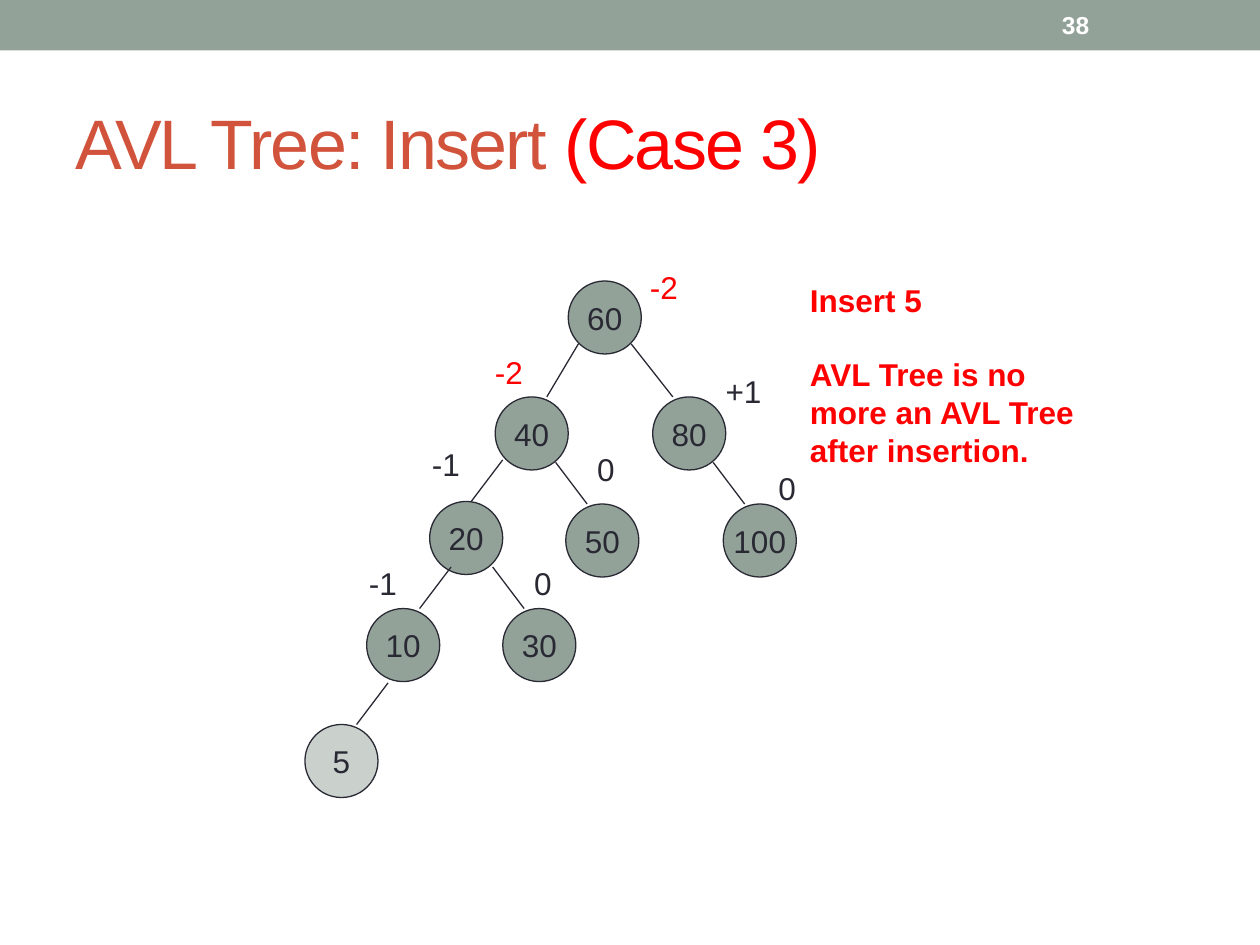
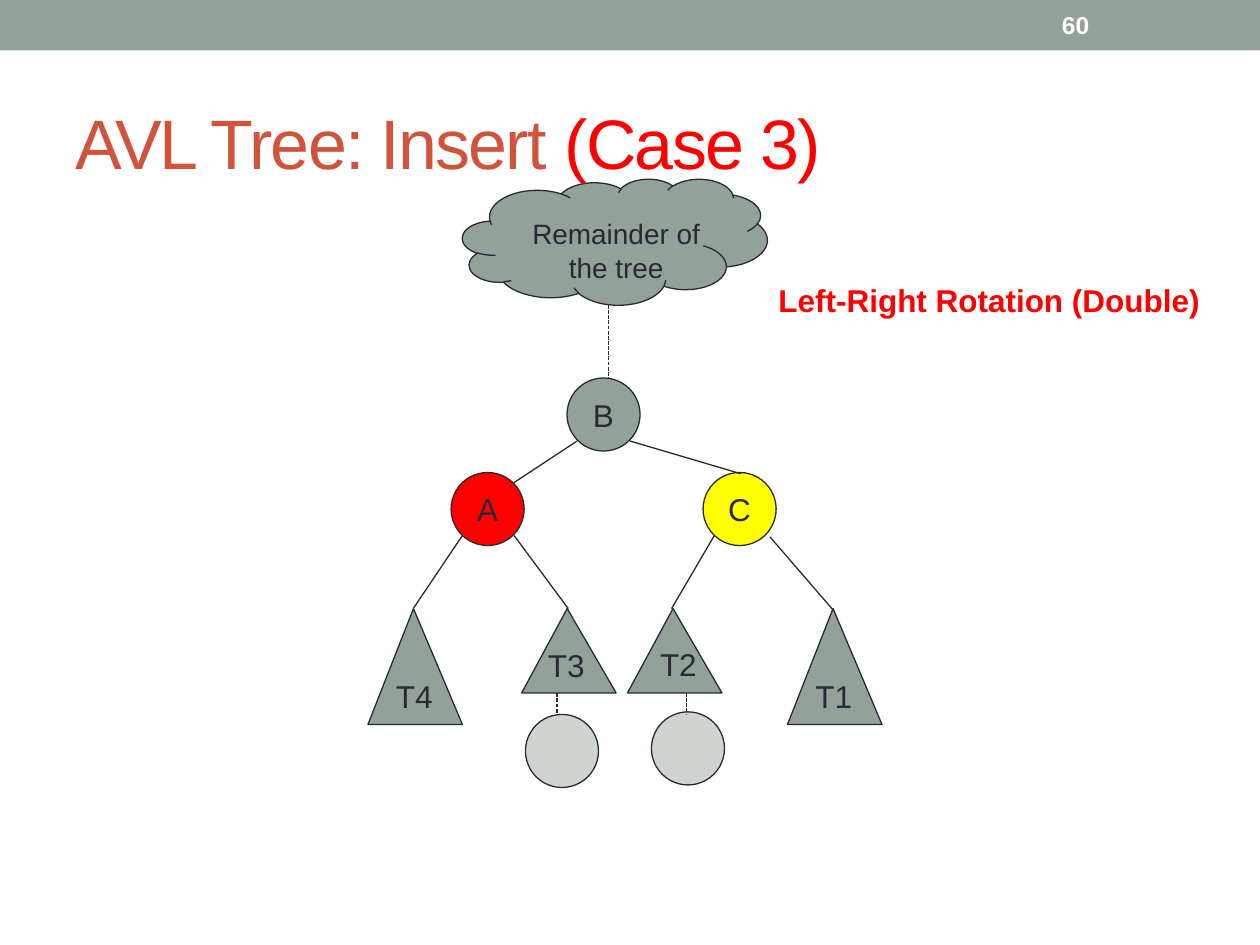
from lxml import etree
from pptx import Presentation
from pptx.dml.color import RGBColor
from pptx.enum.dml import MSO_LINE
from pptx.enum.shapes import MSO_CONNECTOR, MSO_SHAPE
from pptx.enum.text import MSO_ANCHOR, PP_ALIGN
from pptx.oxml.ns import qn
from pptx.util import Inches, Pt

STRAIGHT = MSO_CONNECTOR.STRAIGHT
DASHED = MSO_LINE.SQUARE_DOT
RECTANGLE = MSO_SHAPE.RECTANGLE
ELLIPSE = MSO_SHAPE.OVAL
TRIANGLE = MSO_SHAPE.ISOSCELES_TRIANGLE
CLOUD = MSO_SHAPE.CLOUD
TOP, MIDDLE = MSO_ANCHOR.TOP, MSO_ANCHOR.MIDDLE
LEFT, CENTER = PP_ALIGN.LEFT, PP_ALIGN.CENTER

COLORS = {
    "sage": "93A299",
    "ink": "292934",
    "title": "D2533C",
    "red": "FF0000",
    "yellow": "FFFF00",
    "white": "FFFFFF",
}
FONT = "Arial"
NODE_SIZE = 0.58
TRIANGLE_WIDTH = 0.75
TRIANGLE_TOP = 4.83


class TreeDeck:
    """Hold the deck style and the slide being drawn."""

    def __init__(self):
        self.presentation = Presentation()
        self.presentation.slide_width = Inches(10)
        self.presentation.slide_height = Inches(7.5)
        self.slide = None

    def color(self, name):
        return RGBColor.from_string(COLORS[name])

    def new_slide(self, number):
        self.slide = self.presentation.slides.add_slide(self.presentation.slide_layouts[6])
        band = self.shape(RECTANGLE, 0, 0, 10, 0.4)
        band.line.fill.background()
        self.text(8.33, 0.02, 1.17, 0.36, [number], size=14, color="white", bold=True, anchor=MIDDLE)

    def run(self, paragraph, text, size, color, bold=False):
        run = paragraph.add_run()
        run.text = text
        run.font.name = FONT
        run.font.size = Pt(size)
        run.font.bold = bold
        run.font.color.rgb = self.color(color)
        return run

    def text(self, left, top, width, height, lines, size=18, color="ink", bold=False,
             align=LEFT, anchor=TOP):
        box = self.slide.shapes.add_textbox(Inches(left), Inches(top), Inches(width), Inches(height))
        frame = box.text_frame
        frame.word_wrap = True
        frame.vertical_anchor = anchor
        for index, line in enumerate(lines):
            paragraph = frame.add_paragraph() if index else frame.paragraphs[0]
            paragraph.alignment = align
            self.run(paragraph, line, size, color, bold)
        return box

    def title(self, topic, case):
        box = self.text(0.5, 0.58, 9, 1.08, [topic], size=40, color="title", anchor=MIDDLE)
        paragraph = box.text_frame.paragraphs[0]
        self.run(paragraph, case, 40, "red")
        for run in paragraph.runs:
            run.font._element.set("spc", "-100")

    def callout(self, left, width, height, lines):
        return self.text(left, 2.18, width, height, lines, color="red", bold=True)

    def shape(self, kind, left, top, width, height, label="", fill="sage", opacity=100):
        shape = self.slide.shapes.add_shape(
            kind, Inches(left), Inches(top), Inches(width), Inches(height))
        shape.shadow.inherit = False
        shape.fill.solid()
        shape.fill.fore_color.rgb = self.color(fill)
        if opacity < 100:
            solid_color = shape._element.spPr.find(qn("a:solidFill"))[0]
            etree.SubElement(solid_color, qn("a:alpha")).set("val", str(opacity * 1000))
        shape.line.color.rgb = self.color("ink")
        shape.line.width = Pt(0.75)
        if label:
            frame = shape.text_frame
            frame.word_wrap = False
            frame.vertical_anchor = MIDDLE
            frame.paragraphs[0].alignment = CENTER
            self.run(frame.paragraphs[0], label, 18, "ink")
        return shape

    def node(self, left, top, label="", fill="sage", opacity=100):
        return self.shape(ELLIPSE, left, top, NODE_SIZE, NODE_SIZE, label, fill, opacity)

    def subtree(self, left, height, label=""):
        triangle = self.shape(TRIANGLE, left, TRIANGLE_TOP, TRIANGLE_WIDTH, height, label)
        triangle.adjustments[0] = 0.482

    def edge(self, start_x, start_y, end_x, end_y, dashed=False):
        edge = self.slide.shapes.add_connector(
            STRAIGHT, Inches(start_x), Inches(start_y), Inches(end_x), Inches(end_y))
        edge.line.color.rgb = self.color("ink")
        edge.line.width = Pt(0.75)
        if dashed:
            edge.line.dash_style = DASHED
        etree.SubElement(edge._element.spPr, qn("a:effectLst"))


def build_insertion_slide(deck):
    """Draw the tree that loses its balance after inserting 5."""
    deck.new_slide("38")
    deck.title("AVL Tree: Insert ", "(Case 3)")
    note = deck.callout(6.33, 2.39, 1.92, [
        "Insert 5", "AVL Tree is no", "more an AVL Tree", "after insertion."])
    note.text_frame.paragraphs[1].space_before = Pt(21)

    for key, left, top in [
        ("60", 4.51, 2.23), ("40", 3.93, 3.15), ("80", 5.18, 3.15),
        ("20", 3.41, 3.98), ("50", 4.49, 4), ("100", 5.74, 4),
        ("10", 2.91, 4.83), ("30", 3.99, 4.83),
    ]:
        deck.node(left, top, key)
    deck.node(2.42, 5.75, "5", opacity=49)

    for ends in [
        (4.59, 2.73, 4.34, 3.15), (5.01, 2.73, 5.34, 3.15),
        (3.99, 3.65, 3.74, 3.98), (4.41, 3.67, 4.66, 4), (5.66, 3.67, 5.91, 4),
        (3.58, 4.5, 3.33, 4.83), (3.91, 4.5, 4.16, 4.83),
        (3.08, 5.42, 2.83, 5.75),
    ]:
        deck.edge(*ends)

    for balance, left, top in [
        ("-2", 5.06, 2.08), ("-2", 3.83, 2.75), ("+1", 5.66, 2.9),
        ("-1", 3.33, 3.48), ("0", 4.64, 3.52), ("0", 6.08, 3.67),
        ("-1", 2.83, 4.43), ("0", 4.14, 4.43),
    ]:
        width = 0.34 if balance == "0" else 0.51
        deck.text(left, top, width, 0.4, [balance], color="red" if balance == "-2" else "ink")


def build_rotation_slide(deck):
    """Draw the tree after the double rotation."""
    deck.new_slide("60")
    deck.shape(CLOUD, 3.67, 1.42, 2.42, 1)
    deck.title("AVL Tree: Insert ", "(Case 3)")
    deck.text(4.03, 1.67, 1.72, 0.64, ["Remainder of", "the tree"], size=16, align=CENTER)
    deck.callout(6.08, 3.68, 0.4, ["Left-Right Rotation (Double)"])

    for ends in [(4.83, 2.42, 4.83, 3), (4.42, 5.42, 4.42, 5.67), (5.45, 5.5, 5.45, 5.67)]:
        deck.edge(*ends, dashed=True)

    for left, height, label in [
        (2.92, 0.92, "T4"), (4.14, 0.67, ""), (4.98, 0.67, ""), (6.25, 0.92, "T1"),
    ]:
        deck.subtree(left, height, label)
    deck.text(4.25, 5.08, 0.52, 0.4, ["T3"])
    deck.text(5.14, 5.07, 0.52, 0.4, ["T2"])

    for label, left, top, fill in [
        ("A", 3.58, 3.75, "red"), ("B", 4.5, 3, "sage"), ("C", 5.58, 3.75, "yellow"),
    ]:
        deck.node(left, top, label, fill)
    for left, top in [(4.17, 5.67), (5.17, 5.65)]:
        deck.node(left, top, opacity=45)

    for ends in [
        (4.58, 3.5, 4.08, 3.83), (5, 3.5, 5.88, 3.76),
        (3.67, 4.25, 3.28, 4.83), (4.08, 4.25, 4.51, 4.83),
        (5.67, 4.25, 5.33, 4.83), (6.11, 4.26, 6.62, 4.85),
    ]:
        deck.edge(*ends)


def main():
    """Build both slides and save the deck."""
    deck = TreeDeck()
    build_insertion_slide(deck)
    build_rotation_slide(deck)
    deck.presentation.save("out.pptx")


if __name__ == "__main__":
    main()
